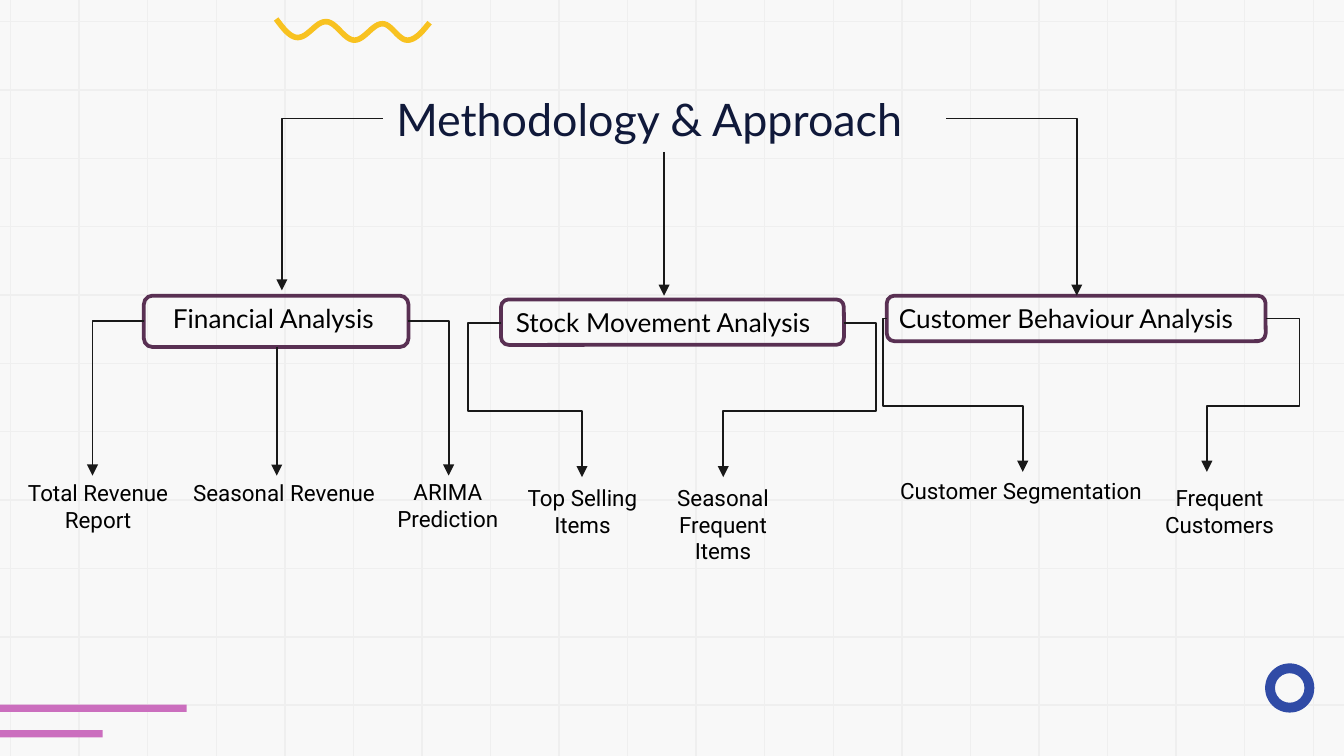
import math

from pptx import Presentation
from pptx import util as u
from pptx.dml.color import RGBColor
from pptx.enum import shapes, text
from pptx.oxml.ns import qn
from lxml import etree

Cm, Pt = u.Cm, u.Pt


class Theme:
    paper = RGBColor.from_string("F8F8F8")
    grid = RGBColor.from_string("EFEFEF")
    arrow = RGBColor.from_string("191919")
    frame = RGBColor.from_string("593053")
    bar = RGBColor.from_string("CB6EBE")
    ring = RGBColor.from_string("304BA6")
    wave = RGBColor.from_string("F8C220")
    heading = RGBColor.from_string("10193A")
    body = RGBColor.from_string("000000")
    heading_size, branch_size, leaf_size = Pt(24), Pt(14), Pt(12)


WIDTH, HEIGHT = 25.4, 14.29
prs = Presentation()
prs.slide_width, prs.slide_height = Cm(WIDTH), Cm(HEIGHT)
slide = prs.slides.add_slide(prs.slide_layouts[6])
slide.background.fill.solid()
slide.background.fill.fore_color.rgb = Theme.paper


def add_line(start, end, color, weight, arrow=False, bend=None):
    """Straight line, or an elbow: bend is () for one corner, (x, y) for three."""
    kind = shapes.MSO_CONNECTOR.STRAIGHT if bend is None else shapes.MSO_CONNECTOR.ELBOW
    line = slide.shapes.add_connector(kind, *[Cm(v) for v in (*start, *end)])
    line.line.color.rgb = color
    line.line.width = Pt(weight)
    props = line._element.spPr
    if arrow:
        etree.SubElement(props.find(qn("a:ln")), qn("a:tailEnd"), type="triangle")
    if bend is not None:
        geometry = props.find(qn("a:prstGeom"))
        geometry.set("prst", "bentConnector4" if bend else "bentConnector2")
        guides = geometry.get_or_add_avLst()
        for i, turn in enumerate(bend):
            share = (turn - start[i]) / (end[i] - start[i])
            etree.SubElement(guides, qn("a:gd"), name=f"adj{i + 1}",
                             fmla=f"val {round(share * 100000)}")
    etree.SubElement(props, qn("a:effectLst"))


def add_label(words, place, font_name, size, color, centred=False, wrap=False):
    frame = slide.shapes.add_textbox(*[Cm(v) for v in place]).text_frame
    frame.text = words
    frame.word_wrap = wrap
    frame.auto_size = text.MSO_AUTO_SIZE.SHAPE_TO_FIT_TEXT
    for paragraph in frame.paragraphs:
        paragraph.font.name = font_name
        paragraph.font.size = size
        paragraph.font.color.rgb = color
        if centred:
            paragraph.alignment = text.PP_ALIGN.CENTER


# Background grid
for row in range(11):
    y = 0.41 + row * (13.33 - 0.41) / 10
    add_line((0, y), (WIDTH, y), Theme.grid, 0.75)
for column in range(20):
    x = 0.2 + column * (24.82 - 0.2) / 19
    add_line((x, 0), (x, HEIGHT), Theme.grid, 0.75)

# Corner bars and ring
ornaments = [
    (shapes.MSO_SHAPE.RECTANGLE, (0, 13.32, 3.53, 0.14), Theme.bar),
    (shapes.MSO_SHAPE.RECTANGLE, (0, 13.8, 1.94, 0.14), Theme.bar),
    (shapes.MSO_SHAPE.DONUT, (23.91, 12.54, 0.93, 0.93), Theme.ring),
]
for kind, place, color in ornaments:
    ornament = slide.shapes.add_shape(kind, *[Cm(v) for v in place])
    ornament.shadow.inherit = False
    ornament.fill.solid()
    ornament.fill.fore_color.rgb = color
    ornament.line.fill.background()
    if kind == shapes.MSO_SHAPE.DONUT:
        ornament.adjustments[0] = 0.2

# Wave: eased between its turning points, steep at both ends
turns = [(5.22, 0.36), (5.63, 0.71), (6.16, 0.41), (6.7, 0.76),
         (7.23, 0.45), (7.7, 0.76), (8.12, 0.43)]
STEPS = 12
wave_points = []
for i, ((x0, y0), (x1, y1)) in enumerate(zip(turns, turns[1:])):
    for step in range(STEPS + 1):
        t = step / STEPS
        if i == 0:
            ease = math.sin(t * math.pi / 2)
        elif i == len(turns) - 2:
            ease = 1 - math.cos(t * math.pi / 2)
        else:
            ease = (1 - math.cos(t * math.pi)) / 2
        wave_points.append((Cm(x0 + (x1 - x0) * t), Cm(y0 + (y1 - y0) * ease)))
builder = slide.shapes.build_freeform(*wave_points[0])
builder.add_line_segments(wave_points[1:], close=False)
wave = builder.convert_to_shape()
wave.shadow.inherit = False
wave.fill.background()
wave.line.color.rgb = Theme.wave
wave.line.width = Pt(3)

# Heading
add_label("Methodology & Approach", (7.24, 1.6, 10.64, 1.27),
          "Lato", Theme.heading_size, Theme.heading)

# Branches: words, text place, frame place
branches = [
    ("Financial Analysis", (3.02, 5.59, 4.72, 0.86), (2.72, 5.59, 5, 0.97)),
    ("Stock Movement Analysis", (9.5, 5.66, 6.48, 0.86), (9.47, 5.66, 6.48, 0.86)),
    ("Customer Behaviour Analysis", (16.74, 5.59, 7.34, 0.86), (16.76, 5.59, 7.16, 0.86)),
]
for words, place, frame_place in branches:
    add_label(words, place, "Lato", Theme.branch_size, Theme.body)
    branch = slide.shapes.add_shape(shapes.MSO_SHAPE.ROUNDED_RECTANGLE,
                                    *[Cm(v) for v in frame_place])
    branch.shadow.inherit = False
    branch.fill.background()
    branch.line.color.rgb = Theme.frame
    branch.line.width = Pt(2)

# Arrows: start, end, bend
arrows = [
    # heading to branches
    ((7.24, 2.24), (5.33, 5.49), ()),
    ((12.55, 2.87), (12.55, 5.59), None),
    ((17.88, 2.24), (20.35, 5.59), ()),
    # financial
    ((2.72, 6.07), (1.75, 8.99), ()),
    ((5.23, 6.55), (5.23, 8.99), None),
    ((7.72, 6.07), (8.48, 8.99), ()),
    # stock
    ((9.47, 6.1), (11, 9.02), (8.84, 7.77)),
    ((15.95, 6.1), (13.67, 9.02), (16.56, 7.77)),
    # customer
    ((16.76, 6.02), (19.33, 8.92), (16.69, 7.67)),
    ((23.92, 6.02), (22.81, 8.92), (24.56, 7.67)),
]
for start, end, bend in arrows:
    add_line(start, end, Theme.arrow, 1, arrow=True, bend=bend)

# Leaves: words, place, centred, wrap
leaves = [
    ("Total Revenue\nReport", (0.18, 8.94, 3.35, 1.27), True, False),
    ("Seasonal Revenue", (3.4, 8.94, 4.11, 0.76), False, False),
    ("ARIMA\nPrediction", (7.21, 8.92, 2.51, 1.27), True, False),
    ("Top Selling Items", (9.32, 9.02, 3.38, 1.27), True, True),
    ("Seasonal Frequent Items", (12.19, 9.02, 2.95, 1.8), True, True),
    ("Customer Segmentation", (16.76, 8.89, 5.16, 0.76), False, False),
    ("Frequent Customers", (21.64, 9.02, 2.82, 1.27), True, True),
]
for words, place, centred, wrap in leaves:
    add_label(words, place, "Roboto", Theme.leaf_size, Theme.body, centred, wrap)

prs.save("out.pptx")
